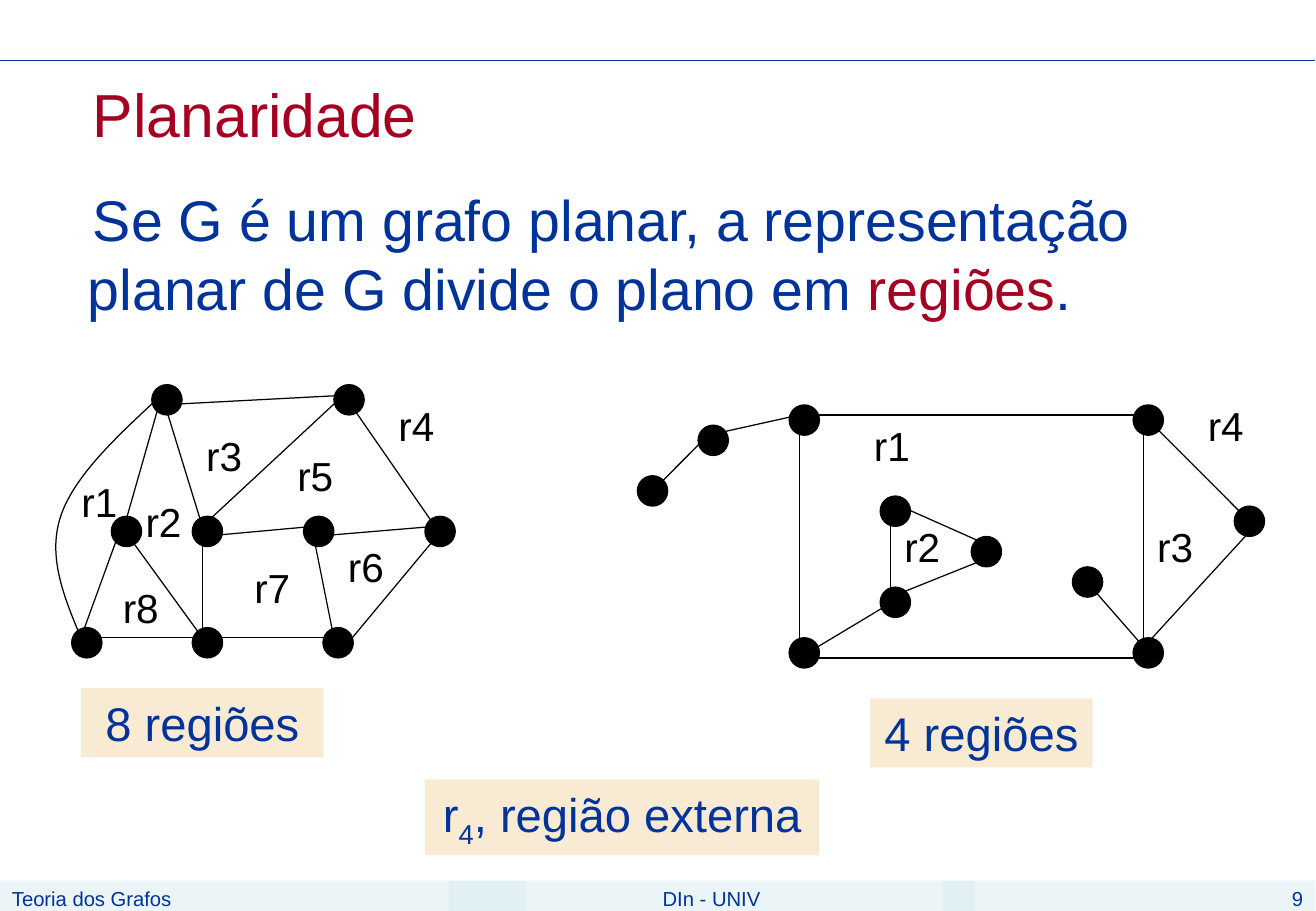
"""Build a slide on the regions of planar graphs."""
from lxml import etree
from pptx import Presentation
from pptx.dml import color
from pptx.enum import shapes, text
from pptx.oxml import ns
from pptx.util import Pt

NAVY, CRIMSON, BLACK, CREAM, ICE = "003399", "A50021", "000000", "F9EBD3", "D9ECF3"
LEFT, CENTER, RIGHT = text.PP_ALIGN.LEFT, text.PP_ALIGN.CENTER, text.PP_ALIGN.RIGHT
NODE_SIZE = 18

LEFT_NODES = [(42.5, 372), (114, 372), (191.5, 372), (252, 306), (180, 306),
              (114, 306), (66, 306), (90, 228), (198, 228)]
LEFT_EDGES = [(48, 378, 126, 378), (126, 378, 198, 378), (264, 312, 204, 384),
              (186, 318, 198, 378), (186, 318, 258, 312), (204, 234, 258, 312),
              (120, 318, 120, 378), (72, 312, 48, 378), (72, 312, 120, 378),
              (120, 318, 186, 312), (96, 234, 72, 318), (96, 234, 120, 312),
              (120, 312, 204, 234), (96, 240, 210, 234)]
LEFT_LABELS = [("r1", 41, 279.5), ("r2", 79, 291), ("r3", 115, 252), ("r5", 169, 264),
               ("r6", 199, 318), ("r7", 143.5, 330), ("r8", 65.5, 342), ("r4", 229, 234)]
OUTER_CURVE = [(96, 234), [(70, 258), (44, 282), (36, 306)],
               [(28, 330), (38, 354), (48, 378)]]

RIGHT_NODES = [(468, 378), (672, 378), (732, 300), (672, 240), (468, 240), (414, 252),
               (378, 282), (522, 294), (522, 348), (576, 318), (636, 336)]
RIGHT_EDGES = [(474, 390, 678, 390), (474, 252, 474, 384), (678, 246, 678, 384),
               (678, 246, 738, 306), (678, 384, 744, 312), (474, 246, 678, 246),
               (642, 342, 684, 390), (588, 330, 528, 354), (534, 354, 474, 390),
               (528, 300, 528, 354), (534, 300, 588, 324), (474, 246, 420, 258),
               (420, 258, 384, 294)]
RIGHT_LABELS = [("r1", 511, 246), ("r2", 529, 306), ("r3", 679, 306), ("r4", 709, 234)]


def rgb(value):
    """Turn a hex string into a colour."""
    return color.RGBColor.from_string(value)


def outline(item, value):
    """Give a shape or connector a thin line."""
    item.line.color.rgb = rgb(value)
    item.line.width = Pt(0.75)


def write(para, spans, size, align=LEFT, **layout):
    """Fill a paragraph with (words, colour, baseline) spans."""
    for name, value in {"alignment": align, **layout}.items():
        setattr(para, name, value)
    for words, shade, baseline in spans:
        span = para.add_run()
        span.text = words
        for name, value in {"name": "Arial", "size": Pt(size)}.items():
            setattr(span.font, name, value)
        span.font.color.rgb = rgb(shade)
        if baseline:
            span._r.get_or_add_rPr().set("baseline", str(baseline * 1000))


def add_panel(page, place, fill, spans, size, align=CENTER, opacity=100):
    """Add a filled rectangle with one line of text."""
    box = page.shapes.add_shape(shapes.MSO_SHAPE.RECTANGLE, *map(Pt, place))
    box.shadow.inherit = False
    box.fill.solid()
    box.fill.fore_color.rgb = rgb(fill)
    box.line.fill.background()
    if opacity < 100:
        shade = box._element.spPr.find(".//" + ns.qn("a:srgbClr"))
        etree.SubElement(shade, ns.qn("a:alpha"), val=str(opacity * 1000))
    box.text_frame.word_wrap = True
    box.text_frame.vertical_anchor = text.MSO_ANCHOR.TOP
    write(box.text_frame.paragraphs[0], spans, size, align)


def add_footer(page, left, width, words, align):
    """Add one translucent strip of the footer."""
    add_panel(page, (left, 522, width, 18), ICE, [(words, NAVY, 0)], 12, align, 50)


def add_node(page, left, top):
    """Add a black graph vertex."""
    dot = page.shapes.add_shape(shapes.MSO_SHAPE.FLOWCHART_CONNECTOR,
                                Pt(left), Pt(top), Pt(NODE_SIZE), Pt(NODE_SIZE))
    dot.shadow.inherit = False
    dot.fill.solid()
    dot.fill.fore_color.rgb = rgb(BLACK)
    outline(dot, BLACK)


def add_edge(page, ends, shade=BLACK):
    """Add a straight line between two points."""
    edge = page.shapes.add_connector(shapes.MSO_CONNECTOR.STRAIGHT, *map(Pt, ends))
    outline(edge, shade)
    etree.SubElement(edge._element.spPr, ns.qn("a:effectLst"))


def add_curve(page, start, *bends):
    """Add an open curve made of cubic bends."""
    ends = [bend[-1] for bend in bends]
    builder = page.shapes.build_freeform(Pt(start[0]), Pt(start[1]))
    builder.add_line_segments([(Pt(x), Pt(y)) for x, y in ends], close=False)
    curve = builder.convert_to_shape()
    curve.shadow.inherit = False
    curve.fill.background()
    outline(curve, BLACK)
    segments = list(curve._element.iter(ns.qn("a:lnTo")))
    for segment, bend in zip(segments, bends):
        cubic = etree.Element(ns.qn("a:cubicBezTo"))
        for x, y in bend:
            etree.SubElement(cubic, ns.qn("a:pt"), x=str(Pt(x) - curve.left),
                             y=str(Pt(y) - curve.top))
        segment.getparent().replace(segment, cubic)


def add_label(page, words, left, top):
    """Add the name of a region."""
    box = page.shapes.add_textbox(Pt(left), Pt(top), Pt(36), Pt(36))
    box.text_frame.word_wrap = False
    box.text_frame.auto_size = text.MSO_AUTO_SIZE.SHAPE_TO_FIT_TEXT
    write(box.text_frame.paragraphs[0], [(words, BLACK, 0)], 24, CENTER)


def add_statement(page):
    """Add the heading and the sentence below it."""
    box = page.shapes.add_textbox(Pt(18), Pt(42), Pt(750), Pt(180))
    frame = box.text_frame
    frame.word_wrap = True
    sentence = [("Se G é um grafo planar, a representação planar de G divide o plano em ",
                 NAVY, 0), ("regiões", CRIMSON, 0), (".", NAVY, 0)]
    write(frame.paragraphs[0], [("Planaridade", CRIMSON, 0)], 36)
    write(frame.add_paragraph(), sentence, 34, space_before=Pt(20.5))
    for para in frame.paragraphs:
        for name, value in {"marL": Pt(27), "indent": Pt(3)}.items():
            para._p.get_or_add_pPr().set(name, str(value))


def add_graph(page, nodes, edges):
    """Add the vertices and edges of one graph."""
    for node in nodes:
        add_node(page, *node)
    for edge in edges:
        add_edge(page, edge)


def main():
    """Build and save the slide."""
    deck = Presentation()
    deck.slide_width = Pt(780.48)
    deck.slide_height = Pt(540)
    page = deck.slides.add_slide(deck.slide_layouts[6])
    add_footer(page, 266, 312, "DIn - UNIV", CENTER)
    add_statement(page)
    add_edge(page, (0, 36, 780, 36), NAVY)
    add_panel(page, (48, 408, 144, 41), CREAM, [("8 regiões", NAVY, 0)], 28)
    add_panel(page, (516, 414, 132, 41), CREAM, [("4 regiões", NAVY, 0)], 28)
    add_panel(page, (252, 462, 234, 45), CREAM,
              [("r", NAVY, 0), ("4", NAVY, -25), (", região externa", NAVY, 0)], 28)
    add_graph(page, LEFT_NODES, LEFT_EDGES)
    add_curve(page, *OUTER_CURVE)
    add_graph(page, RIGHT_NODES, RIGHT_EDGES)
    for label in LEFT_LABELS + RIGHT_LABELS:
        add_label(page, *label)
    add_footer(page, 0, 312, "Teoria dos Grafos", LEFT)
    add_footer(page, 559, 221, "9", RIGHT)
    deck.save("out.pptx")


if __name__ == "__main__":
    main()
